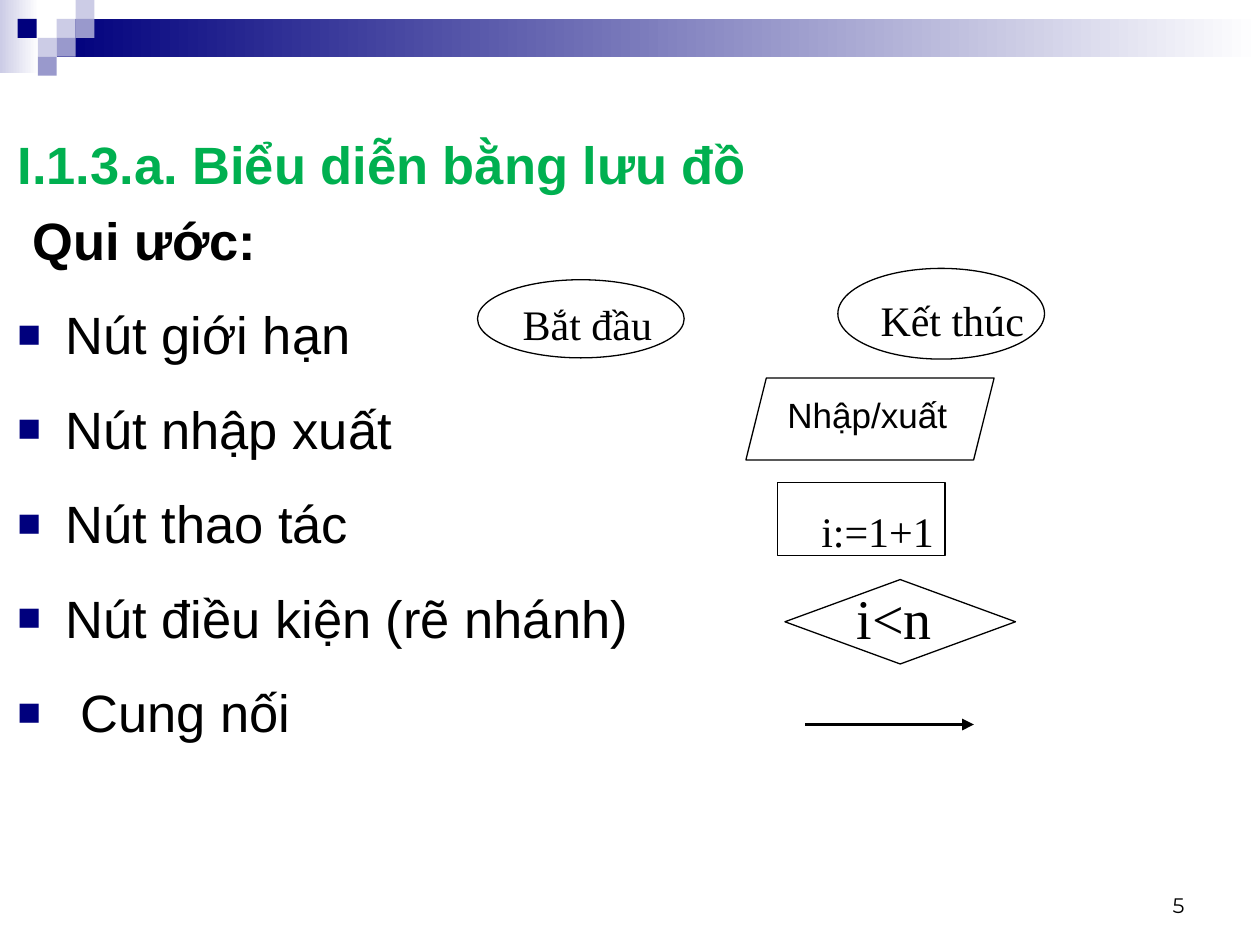
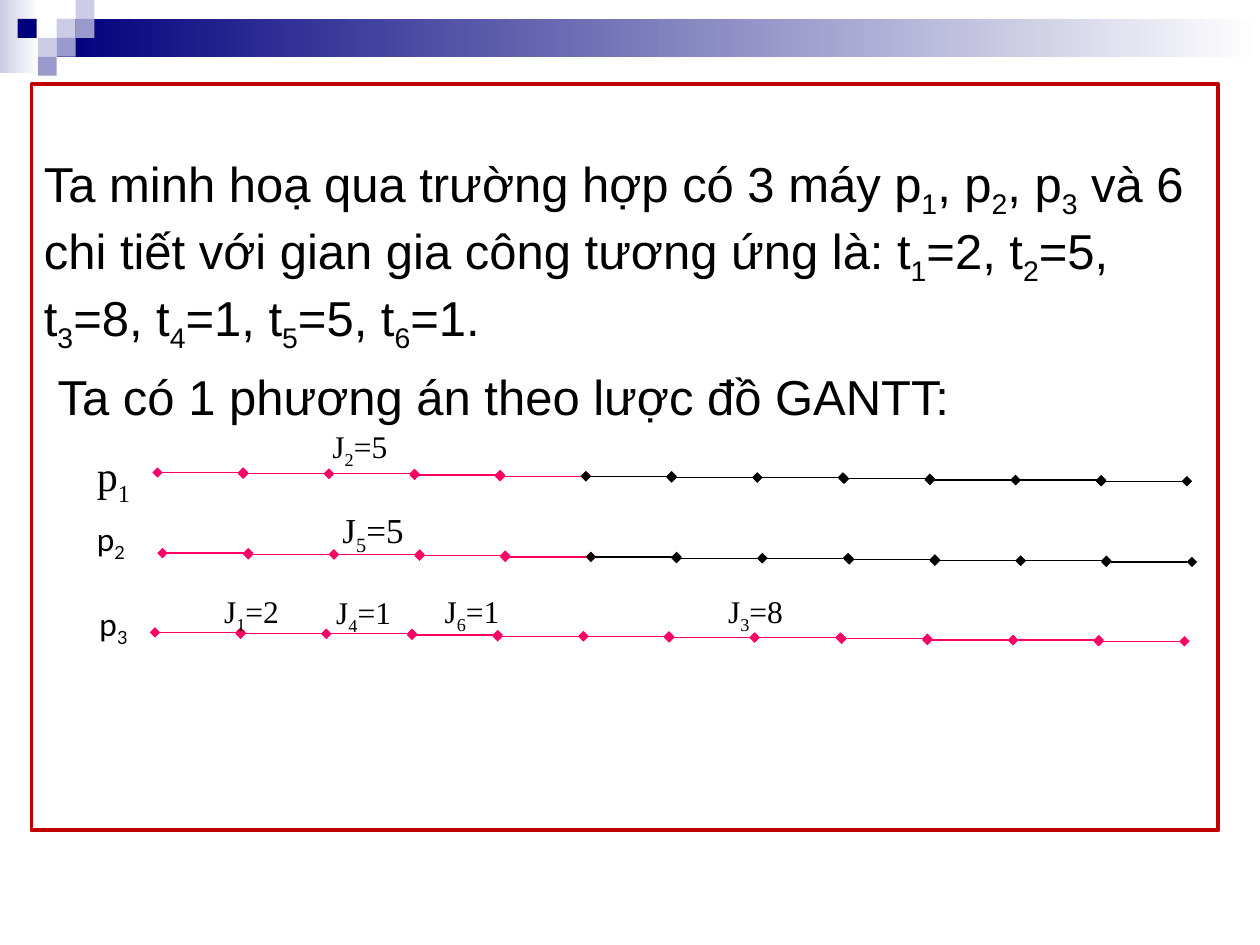
from dataclasses import dataclass

from lxml.etree import SubElement as Sub
from pptx import Presentation
from pptx.dml.color import RGBColor as Rgb
from pptx.enum.shapes import MSO_CONNECTOR as Con, MSO_SHAPE as Geo
from pptx.enum.text import MSO_ANCHOR as Anchor, PP_ALIGN as Align
from pptx.oxml.ns import qn
from pptx.util import Pt

PX = 9144  # EMU in one px, 100 px to the inch
TITLE_ONLY, BLANK = 5, 6


@dataclass(frozen=True)
class Theme:
    sans: str = "Arial"
    serif: str = "Times New Roman"
    label: str = "Lato"
    number: str = "Montserrat"
    ink: str = "000000"
    white: str = "FFFFFF"
    navy: str = "00007D"
    mid: str = "9999CC"
    pale: str = "CCCCE6"
    green: str = "00B050"
    pink: str = "FF0066"
    red: str = "C00000"
    head: int = 30
    body: int = 28
    large: int = 32
    node: int = 24
    note: int = 20
    small: int = 18
    foot: int = 12
    thin: float = 0.75
    thick: float = 2.25


class Deck:
    def __init__(self, theme):
        self.theme = theme
        self.prs = Presentation()
        self.prs.slide_width, self.prs.slide_height = 1000 * PX, 750 * PX

    def start(self, layout):
        self.slide = self.prs.slides.add_slide(self.prs.slide_layouts[layout])
        self.band()

    def band(self):
        t = self.theme
        self.shape((0, 0, 31, 58), fill=(t.pale, t.white))
        self.shape((45, 15, 955, 30), fill=(t.navy, t.white))
        tiles = ((45, 15, t.pale), (60, 0, t.pale), (60, 15, t.mid),
                 (30, 30, t.pale), (14, 15, t.navy), (45, 30, t.mid),
                 (30, 45, t.mid))
        for x, y, color in tiles:
            self.shape((x, y, 15, 15), fill=color)

    def shape(self, box, kind=Geo.RECTANGLE, fill=None, line=None, width=None):
        """Draw a preset shape; a pair of colours as fill is a gradient."""
        item = self.slide.shapes.add_shape(kind, *(n * PX for n in box))
        item.shadow.inherit = False
        if isinstance(fill, tuple):
            item.fill.gradient()
            item.fill.gradient_angle = 0
            for stop, color in zip(item.fill.gradient_stops, fill):
                stop.color.rgb = Rgb.from_string(color)
        elif fill:
            item.fill.solid()
            item.fill.fore_color.rgb = Rgb.from_string(fill)
        else:
            item.fill.background()
        if line:
            item.line.color.rgb = Rgb.from_string(line)
            item.line.width = Pt(width or self.theme.thin)
        else:
            item.line.fill.background()
        return item

    def node(self, box, kind):
        return self.shape(box, kind, line=self.theme.ink)

    def line(self, x, y, size, color, width, **ends):
        """Draw a level line; ends maps headEnd and tailEnd to a tip."""
        item = self.slide.shapes.add_connector(
            Con.STRAIGHT, x * PX, y * PX, (x + size) * PX, y * PX)
        item.line.color.rgb = Rgb.from_string(color)
        item.line.width = Pt(width)
        props = item._element.spPr
        for end, tip in sorted(ends.items()):
            Sub(props.find(qn("a:ln")), qn(f"a:{end}"), type=tip)
        Sub(props, qn("a:effectLst"))

    def put(self, para, text, size, face, color=None, bold=False):
        """Fill a paragraph; the digit after each _ is a subscript."""
        first, *rest = text.split("_")
        para.add_run().text = first
        for part in rest:
            low = para.add_run()
            low.text = part[0]
            low._r.get_or_add_rPr().set("baseline", "-25000")
            if part[1:]:
                para.add_run().text = part[1:]
        font = para.font
        font.size, font.name, font.bold = Pt(size), face, bold
        font.color.rgb = Rgb.from_string(color or self.theme.ink)

    def text(self, box, text, size, face, align=Align.LEFT, anchor=Anchor.TOP):
        frame = self.slide.shapes.add_textbox(*(n * PX for n in box)).text_frame
        frame.word_wrap = True
        frame.vertical_anchor = anchor
        para = frame.paragraphs[0]
        para.alignment = align
        self.put(para, text, size, face)
        return frame

    def title(self, box, text):
        t = self.theme
        item = self.slide.shapes.title
        item.left, item.top, item.width, item.height = (n * PX for n in box)
        frame = item.text_frame
        frame.vertical_anchor = Anchor.TOP
        para = frame.paragraphs[0]
        para.alignment = Align.LEFT
        self.put(para, text, t.head, t.sans, t.green, True)

    def indent(self, para, left, first=0):
        props = para._p.get_or_add_pPr()
        props.set("marL", str(left * PX))
        props.set("indent", str(first * PX))
        return props

    def bullet(self, frame, text, left=38):
        t = self.theme
        para = frame.add_paragraph()
        props = self.indent(para, left, -left)
        Sub(Sub(props, qn("a:buClr")), qn("a:srgbClr"), val=t.navy)
        Sub(props, qn("a:buSzPct"), val="75000")
        Sub(props, qn("a:buFont"), typeface=t.sans)
        Sub(props, qn("a:buChar"), char="■")
        para.space_before = Pt(18)
        self.put(para, text, t.head, t.sans)


def flow(deck):
    t = deck.theme
    deck.start(TITLE_ONLY)
    deck.title((4, 100, 950, 60), "I.1.3.a. Biểu diễn bằng lưu đồ")
    body = deck.text((4, 160, 950, 548), "Qui ước:", t.head, t.sans)
    body.paragraphs[0].font.bold = True
    deck.indent(body.paragraphs[0], 12)
    for name in ("Nút giới hạn", "Nút nhập xuất", "Nút thao tác",
                 "Nút điều kiện (rẽ nhánh)"):
        deck.bullet(body, name)
    deck.bullet(body, "Cung nối", 50)
    deck.text((717, 683, 233, 50), "5", t.foot, t.number,
              Align.RIGHT, Anchor.BOTTOM)

    nodes = (
        ((379, 222, 164, 62), Geo.OVAL, (405, 232, 192, 50), "Bắt đầu", t.node),
        ((665, 213, 164, 72), Geo.OVAL, (689, 229, 144, 90), "Kết thúc", t.node),
        ((617, 383, 133, 58), Geo.RECTANGLE, (642, 396, 133, 50), "i:=1+1",
         t.node),
        ((623, 460, 183, 67), Geo.DIAMOND, (670, 458, 125, 64), "i<n", t.large),
    )
    for box, kind, spot, label, size in nodes:
        deck.node(box, kind)
        deck.text(spot, label, size, t.serif)
    deck.line(639, 575, 134, t.ink, t.thick, tailEnd="triangle")

    port = deck.node((592, 300, 197, 65), Geo.PARALLELOGRAM)
    port.adjustments[0] = 0.25
    port.text_frame.vertical_anchor = Anchor.TOP
    para = port.text_frame.paragraphs[0]
    para.alignment = Align.LEFT
    deck.put(para, "Nhập/xuất", t.note, t.sans)


def track(deck, x, y, busy):
    """Draw one machine's 12 time units, the busy ones in pink."""
    t = deck.theme
    for i in range(12):
        color = t.pink if i < busy else t.ink
        deck.line(x + 68 * i + (i >= 8), y + round(i * 0.63), 68, color, t.thin,
                  headEnd="diamond", tailEnd="diamond")


def gantt(deck):
    t = deck.theme
    deck.start(BLANK)
    body = deck.text(
        (25, 117, 942, 233),
        "Ta minh hoạ qua trường hợp có 3 máy p_1, p_2, p_3 và 6 chi tiết với "
        "gian gia công tương ứng là: t_1=2, t_2=5, t_3=8, t_4=1, t_5=5, t_6=1.",
        t.body, t.sans)
    para = body.add_paragraph()
    deck.indent(para, 11)
    para.space_before = Pt(7)
    deck.put(para, "Ta có 1 phương án theo lược đồ GANTT:", t.body, t.sans)

    for x, y, busy in ((129, 439, 5), (123, 502, 12), (125, 375, 5)):
        track(deck, x, y, busy)
    labels = (
        (67, 352, 51, "p_1", t.node, t.serif),
        (67, 408, 51, "p_2", t.small, t.label),
        (69, 475, 68, "p_3", t.small, t.label),
        (168, 465, 68, "J_1=2", t.small, t.serif),
        (257, 466, 68, "J_4=1", t.small, t.serif),
        (343, 465, 68, "J_6=1", t.small, t.serif),
        (568, 465, 68, "J_3=8", t.small, t.serif),
        (262, 399, 76, "J_5=5", t.note, t.serif),
        (254, 334, 85, "J_2=5", t.small, t.serif),
    )
    for x, y, wide, label, size, face in labels:
        deck.text((x, y, wide, 44), label, size, face)
    deck.shape((25, 67, 942, 592), line=t.red, width=t.thick)


def main():
    deck = Deck(Theme())
    flow(deck)
    gantt(deck)
    deck.prs.save("out.pptx")


if __name__ == "__main__":
    main()
